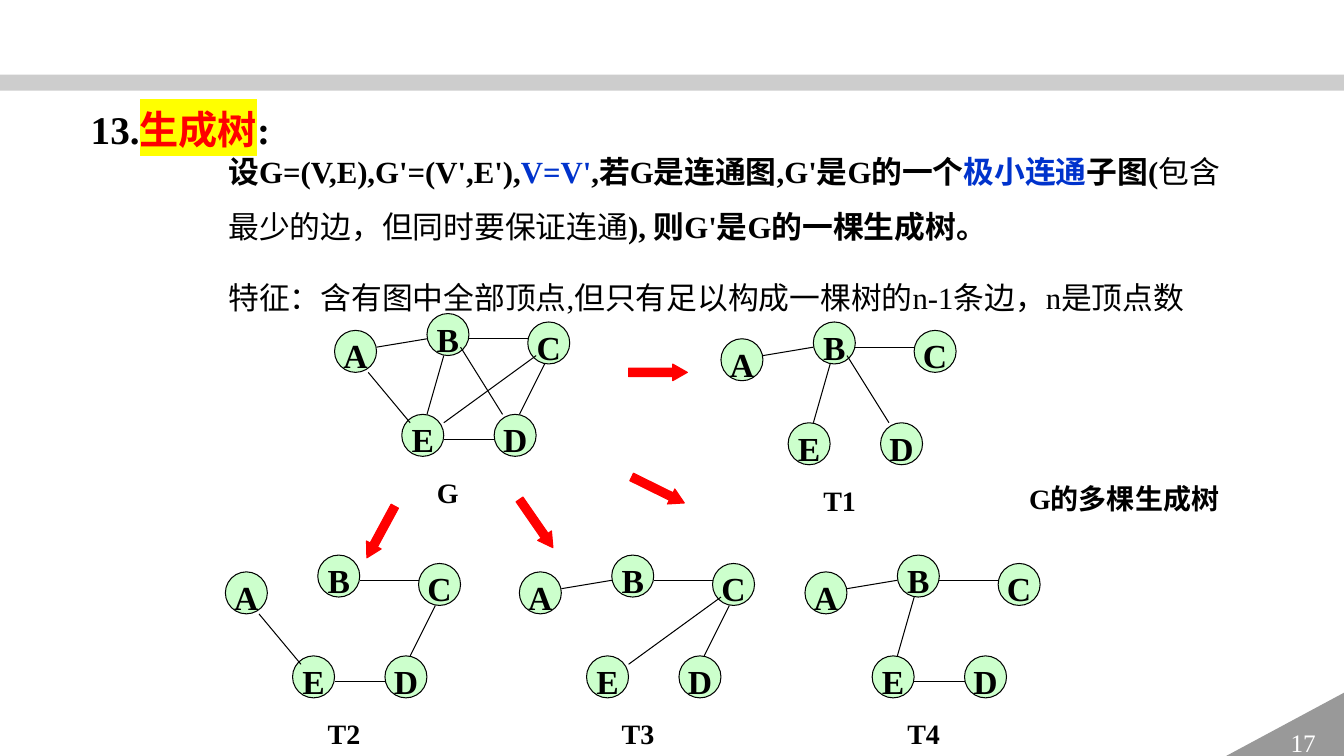
from lxml import etree
from pptx import Presentation
from pptx.dml.color import RGBColor
from pptx.enum.shapes import MSO_CONNECTOR, MSO_SHAPE
from pptx.enum.text import MSO_ANCHOR, MSO_AUTO_SIZE, PP_ALIGN
from pptx.oxml.ns import qn
from pptx.util import Pt

BLACK, WHITE, RED, BLUE = "000000", "FFFFFF", "FF0000", "0033CC"
NODE_SIZE = 30

# Node corners and edge ends, measured from the corner of each graph
NODES = {"E": (48, 72), "D": (114, 72), "B": (66, 0), "C": (138, 6), "A": (0, 12)}
EDGES = {
    "AB": (30, 24, 66, 18),
    "AE": (24, 42, 54, 78),
    "BC": (138, 18, 96, 18),
    "BD": (120, 72, 90, 24),
    "BE": (66, 72, 78, 30),
    "CD": (132, 72, 150, 36),
    "CE": (78, 78, 144, 30),
    "DE": (78, 90, 114, 90),
}
GRAPHS = [
    ("G", 239, 224, list(EDGES)),
    ("T1", 515, 230, ["AB", "BC", "BD", "BE"]),
    ("T2", 161, 396.5, ["AE", "BC", "CD", "DE"]),
    ("T3", 371, 396.5, ["AB", "BC", "CD", "CE"]),
    ("T4", 575, 396.5, ["AB", "BC", "BE", "DE"]),
]
# Left, top and rotation of the arrows from G to its trees
ARROWS = [(449, 260, 0), (449, 344, 26.3), (362, 368, 55.3), (251, 374, 118.4)]


def color(hex_text):
    return RGBColor.from_string(hex_text)


class SlideBuilder:
    font_name = "Times New Roman"

    def __init__(self, slide):
        self.slide = slide

    def format_paragraph(self, paragraph, size, bold=True, hex_text=BLACK,
                         spacing=1.2, before=0, after=0, align=PP_ALIGN.LEFT):
        paragraph.alignment = align
        paragraph.line_spacing = spacing
        paragraph.space_before = Pt(before)
        paragraph.space_after = Pt(after)
        font = paragraph.font
        font.name, font.size, font.bold = self.font_name, Pt(size), bold
        font.color.rgb = color(hex_text)

    def add_runs(self, paragraph, runs):
        for text, hex_text, bold in runs:
            run = paragraph.add_run()
            run.text = text
            run.font.color.rgb = color(hex_text)
            run.font.bold = bold

    def highlight(self, run, hex_text):
        mark = etree.SubElement(run.font._element, qn("a:highlight"))
        etree.SubElement(mark, qn("a:srgbClr"), val=hex_text)

    def placeholder(self, index, left, top, width, height):
        shape = self.slide.placeholders[index]
        shape.left, shape.top, shape.width, shape.height = map(Pt, (left, top, width, height))
        frame = shape.text_frame
        frame.word_wrap = True
        frame.auto_size = MSO_AUTO_SIZE.NONE
        frame.vertical_anchor = MSO_ANCHOR.TOP
        return frame

    def remove_bullet(self, paragraph):
        properties = paragraph._p.get_or_add_pPr()
        properties.set("marL", "0")
        properties.set("indent", "0")
        etree.SubElement(properties, qn("a:buNone"))

    def shape(self, kind, left, top, width, height, fill, line=None):
        shape = self.slide.shapes.add_shape(kind, Pt(left), Pt(top), Pt(width), Pt(height))
        shape.shadow.inherit = False
        shape.fill.solid()
        shape.fill.fore_color.rgb = color(fill)
        if line:
            shape.line.color.rgb = color(line)
            shape.line.width = Pt(0.75)
        else:
            shape.line.fill.background()
        return shape

    def shape_text(self, shape, text, size, **style):
        frame = shape.text_frame
        frame.word_wrap = False
        frame.vertical_anchor = MSO_ANCHOR.MIDDLE
        frame.text = text
        self.format_paragraph(frame.paragraphs[0], size, align=PP_ALIGN.CENTER, **style)

    def label(self, text, left, top, width, wrap=False):
        box = self.slide.shapes.add_textbox(Pt(left), Pt(top), Pt(width), Pt(34))
        box.text_frame.word_wrap = wrap
        box.text_frame.text = text
        self.format_paragraph(box.text_frame.paragraphs[0], 20)

    def edge(self, start_x, start_y, end_x, end_y):
        line = self.slide.shapes.add_connector(
            MSO_CONNECTOR.STRAIGHT, Pt(start_x), Pt(start_y), Pt(end_x), Pt(end_y))
        line.line.color.rgb = color(BLACK)
        line.line.width = Pt(0.75)
        etree.SubElement(line._element.spPr, qn("a:effectLst"))

    def graph(self, name, left, top, edges):
        for letter, (x, y) in NODES.items():
            node = self.shape(MSO_SHAPE.OVAL, left + x, top + y,
                              NODE_SIZE, NODE_SIZE, "CCFFCC", BLACK)
            self.shape_text(node, letter, 24)
        for key in edges:
            x1, y1, x2, y2 = EDGES[key]
            self.edge(left + x1, top + y1, left + x2, top + y2)
        self.label(name, left + 66, top + 107, 30 if len(name) == 1 else 38)

    def arrow(self, left, top, rotation):
        arrow = self.shape(MSO_SHAPE.RIGHT_ARROW, left, top, 42, 12, RED, RED)
        arrow.adjustments[1] = 0.875
        arrow.rotation = rotation


def main():
    presentation = Presentation()
    presentation.slide_width, presentation.slide_height = Pt(960), Pt(540)
    slide = presentation.slides.add_slide(presentation.slide_layouts[1])
    builder = SlideBuilder(slide)

    # Band and page number
    band = builder.shape(MSO_SHAPE.RECTANGLE, 0, 53.3, 960, 11.5, "A6A6A6")
    band_color = band.fill._xPr.find(qn("a:solidFill"))[0]
    etree.SubElement(band_color, qn("a:alpha"), val="56000")
    corner = builder.shape(MSO_SHAPE.RIGHT_TRIANGLE, 872, 494.6, 88.5, 47.5, "999999")
    corner._element.spPr.find(qn("a:xfrm")).set("flipH", "1")
    builder.shape_text(corner, "17", 18, bold=False, hex_text=WHITE, spacing=1)

    # Graph, its spanning trees and the arrows between them
    for graph in GRAPHS:
        builder.graph(*graph)
    for arrow in ARROWS:
        builder.arrow(*arrow)
    builder.label("G的多棵生成树", 728, 335.5, 151, wrap=True)

    # Title
    paragraph = builder.placeholder(0, 57.6, 64.8, 142.6, 44.6).paragraphs[0]
    builder.format_paragraph(paragraph, 28)
    builder.add_runs(paragraph, [("13.", BLACK, True), ("生成树", RED, True), (":", BLACK, True)])
    builder.highlight(paragraph.runs[1], "FFFF00")

    # Definition and property
    body = builder.placeholder(1, 156, 92, 723, 136)
    definition, feature = body.paragraphs[0], body.add_paragraph()
    for paragraph, before in ((definition, 0), (feature, 5.72)):
        builder.remove_bullet(paragraph)
        builder.format_paragraph(paragraph, 22, bold=False, spacing=1.5, before=before, after=5.72)
    builder.add_runs(definition, [
        ("设G=(V,E),G'=(V',E'),", BLACK, True),
        ("V=V'", BLUE, True),
        (",若G是连通图,G'是G的一个", BLACK, True),
        ("极小连通", BLUE, True),
        ("子图(", BLACK, True),
        ("包含最少的边，但同时要保证连通", BLACK, False),
        ("), 则G'是G的一棵生成树。", BLACK, True),
    ])
    feature.text = "特征：含有图中全部顶点,但只有足以构成一棵树的n-1条边，n是顶点数"

    presentation.save("out.pptx")


if __name__ == "__main__":
    main()
